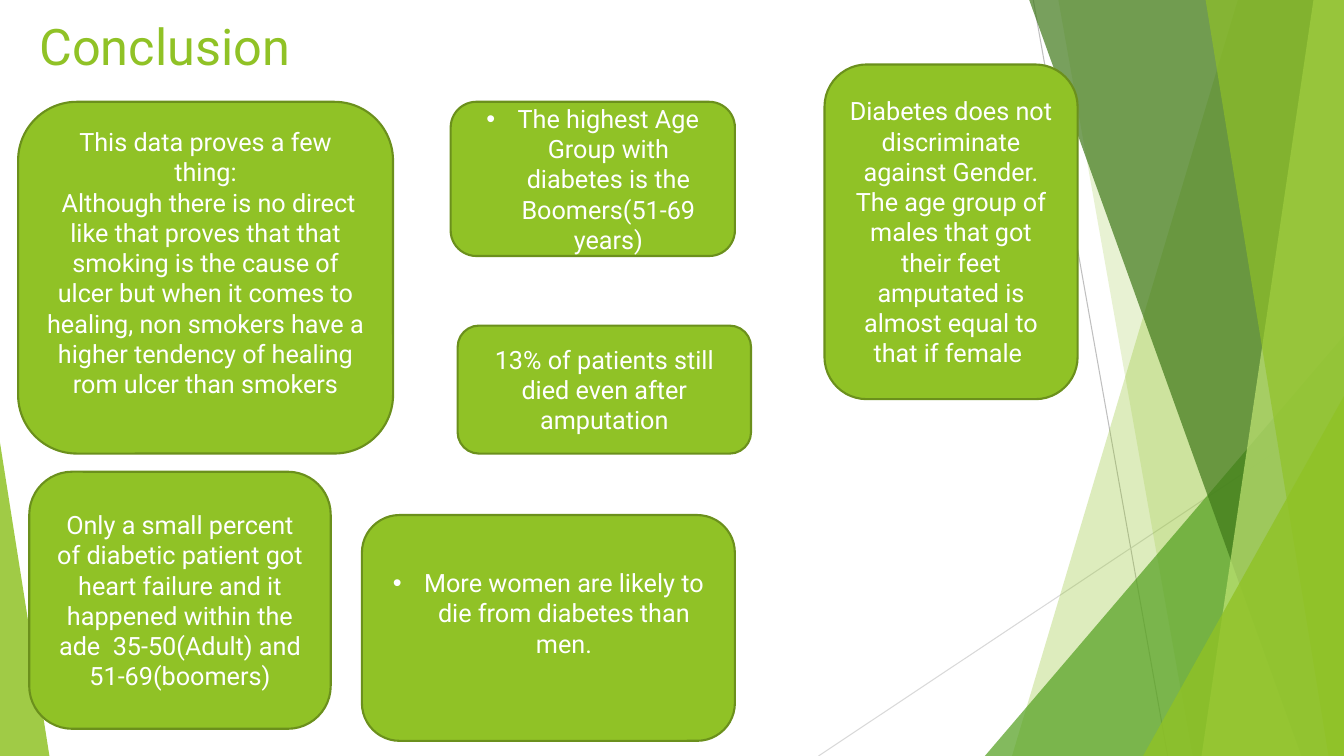
from dataclasses import dataclass

from lxml import etree
from pptx import Presentation
from pptx.dml.color import RGBColor
from pptx.enum.shapes import MSO_CONNECTOR, MSO_SHAPE
from pptx.enum.text import MSO_ANCHOR, MSO_AUTO_SIZE, PP_ALIGN
from pptx.oxml.ns import qn
from pptx.util import Inches, Pt

STRAIGHT = MSO_CONNECTOR.STRAIGHT
TRIANGLE = MSO_SHAPE.ISOSCELES_TRIANGLE
ROUNDED = MSO_SHAPE.ROUNDED_RECTANGLE
MIDDLE = MSO_ANCHOR.MIDDLE
NO_AUTOFIT = MSO_AUTO_SIZE.NONE
LEFT, CENTER = PP_ALIGN.LEFT, PP_ALIGN.CENTER

SLIDE_WIDTH, SLIDE_HEIGHT = Inches(13.33), Inches(7.5)


@dataclass(frozen=True)
class Theme:
    font: str = "Roboto"
    title_size: int = 36
    body_size: int = 18
    green: str = "90C226"
    leaf: str = "54A021"
    forest: str = "3F7819"
    lime: str = "C0E474"
    outline: str = "6B901C"
    white: str = "FFFFFF"
    gray: str = "BFBFBF"
    pale_gray: str = "D9D9D9"


THEME = Theme()

# Positions are percentages of the slide's width and height.
RAYS = [((76.88, 0), (86.88, 100), THEME.gray),
        ((100, 53.73), (60.9, 100), THEME.pale_gray)]

# Bands reach the right edge: left x at top, left x at bottom, colour, opacity
BACK_BANDS = [(92.1, 75.3, THEME.green, 30), (78.75, 88.73, THEME.green, 20)]
FRONT_BANDS = [(76.58, 96.83, THEME.forest, 70), (97.73, 89.4, THEME.lime, 70),
               (89.7, 98.85, THEME.green, 65)]

# Wedges stand on the bottom edge: left, top, width, apex, colour, opacity
BACK_WEDGE = (73.28, 44.4, 26.72, 1, THEME.leaf, 72)
FRONT_WEDGES = [(85.05, 52.4, 14.95, 1, THEME.green, 80),
                (0, 58.53, 3.68, 0, THEME.green, 85)]

TITLE_BOX = (2.18, 0.93, 24.9, 10.13)

# Cards: box, paragraphs, bulleted, bottom inset in inches
CARDS = [
    ((1.35, 13.47, 27.9, 46.53),
     ["This data proves a few thing:",
      " Although there is no direct like that proves that that smoking is the "
      "cause of ulcer but when it comes to healing, non smokers have a higher "
      "tendency of healing rom ulcer than smokers"], False, 0.35),
    ((26.93, 68.13, 27.75, 29.87),
     ["More women are likely to die from diabetes than men."], True, 0.35),
    ((33.53, 13.47, 21.15, 20.4),
     ["The highest Age Group with diabetes is the Boomers(51-69 years)"],
     True, 0.05),
    ((61.35, 8.53, 18.83, 44.27),
     ["Diabetes does not discriminate against Gender. The age group of males "
      "that got their feet amputated is almost equal to that if female "],
     False, 0.05),
    ((2.18, 62.4, 22.43, 34),
     ["Only a small percent of diabetic patient got heart failure and it "
      "happened within the ade  35-50(Adult) and 51-69(boomers)"], False, 0.05),
    ((34.05, 43.07, 21.83, 16.93),
     ["13% of patients still died even after amputation"], False, 0.05),
]


def across(share):
    return round(SLIDE_WIDTH * share / 100)


def down(share):
    return round(SLIDE_HEIGHT * share / 100)


def place(box):
    left, top, width, height = box
    return across(left), down(top), across(width), down(height)


def apply_format(target, values):
    for name, value in values.items():
        setattr(target, name, value)


def format_font(font, size, color):
    apply_format(font, {"name": THEME.font, "size": Pt(size)})
    font.color.rgb = RGBColor.from_string(color)


def fill_facet(shape, color, opacity):
    shape.shadow.inherit = False
    shape.line.fill.background()
    shape.fill.solid()
    shape.fill.fore_color.rgb = RGBColor.from_string(color)
    color_element = shape.fill._xPr.find(".//" + qn("a:srgbClr"))
    etree.SubElement(color_element, qn("a:alpha"), val=str(opacity * 1000))


def add_ray(slide, start, end, color):
    ray = slide.shapes.add_connector(STRAIGHT, across(start[0]), down(start[1]),
                                     across(end[0]), down(end[1]))
    ray.line.width = Pt(0.75)
    ray.line.color.rgb = RGBColor.from_string(color)
    etree.SubElement(ray._element.spPr, qn("a:effectLst"))


def add_band(slide, top_left, bottom_left, color, opacity):
    builder = slide.shapes.build_freeform(across(top_left), 0)
    builder.add_line_segments([(across(100), 0), (across(100), down(100)),
                               (across(bottom_left), down(100))])
    fill_facet(builder.convert_to_shape(), color, opacity)


def add_wedge(slide, left, top, width, apex, color, opacity):
    wedge = slide.shapes.add_shape(TRIANGLE, *place((left, top, width, 100 - top)))
    wedge.adjustments[0] = apex
    fill_facet(wedge, color, opacity)


def add_backdrop(slide):
    for ray in RAYS:
        add_ray(slide, *ray)
    for band in BACK_BANDS:
        add_band(slide, *band)
    add_wedge(slide, *BACK_WEDGE)
    for band in FRONT_BANDS:
        add_band(slide, *band)
    for wedge in FRONT_WEDGES:
        add_wedge(slide, *wedge)


def add_title(slide, box, text):
    title = slide.shapes.title
    apply_format(title, dict(zip(("left", "top", "width", "height"), place(box))))
    title.text = text
    apply_format(title.text_frame, {"vertical_anchor": MIDDLE, "word_wrap": True,
                                    "auto_size": NO_AUTOFIT})
    paragraph = title.text_frame.paragraphs[0]
    paragraph.alignment = LEFT
    format_font(paragraph.runs[0].font, THEME.title_size, THEME.green)


def add_bullet(paragraph):
    properties = paragraph._p.get_or_add_pPr()
    apply_indent = {"marL": Inches(0.31), "indent": -Inches(0.31)}
    for name, value in apply_indent.items():
        properties.set(name, str(value))
    etree.SubElement(properties, qn("a:buFont"), typeface="Arial")
    etree.SubElement(properties, qn("a:buChar"), char="•")


def add_card(slide, box, texts, bulleted, bottom_inset):
    card = slide.shapes.add_shape(ROUNDED, *place(box))
    card.shadow.inherit = False
    card.fill.solid()
    card.fill.fore_color.rgb = RGBColor.from_string(THEME.green)
    card.line.color.rgb = RGBColor.from_string(THEME.outline)
    card.line.width = Pt(1.5)
    frame = card.text_frame
    apply_format(frame, {"word_wrap": True, "vertical_anchor": MIDDLE,
                         "margin_bottom": Inches(bottom_inset)})
    for index, text in enumerate(texts):
        paragraph = frame.add_paragraph() if index else frame.paragraphs[0]
        paragraph.alignment = CENTER
        if bulleted:
            add_bullet(paragraph)
        run = paragraph.add_run()
        run.text = text
        format_font(run.font, THEME.body_size, THEME.white)


def main():
    presentation = Presentation()
    apply_format(presentation, {"slide_width": SLIDE_WIDTH,
                                "slide_height": SLIDE_HEIGHT})
    slide = presentation.slides.add_slide(presentation.slide_layouts[5])
    add_backdrop(slide)
    add_title(slide, TITLE_BOX, "Conclusion")
    for card in CARDS:
        add_card(slide, *card)
    presentation.save("out.pptx")


if __name__ == "__main__":
    main()
